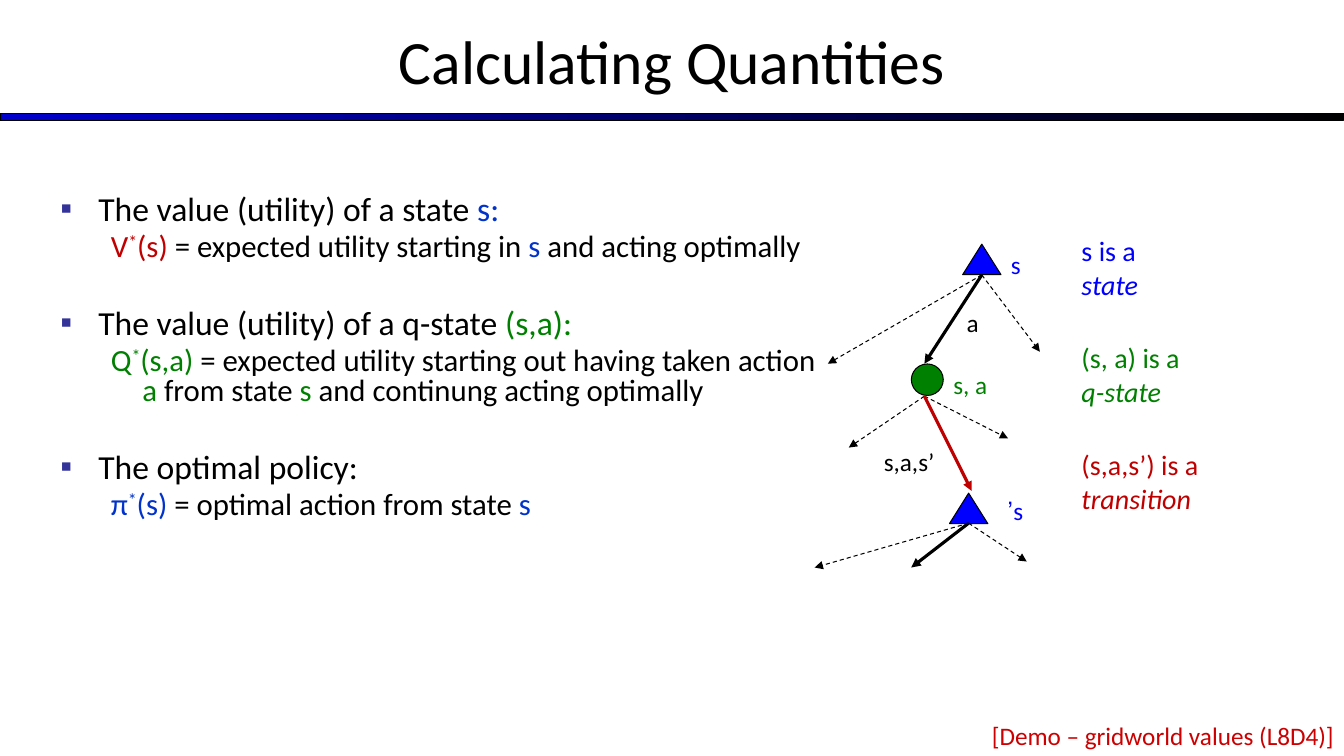
import pptx
import pptx.util
import pptx.dml.color
import pptx.enum.dml
import pptx.enum.shapes
import pptx.enum.text
import pptx.oxml
import pptx.oxml.ns
from lxml import etree

Pt = pptx.util.Pt
ALIGN = pptx.enum.text.PP_ALIGN
SHAPE = pptx.enum.shapes.MSO_SHAPE
FONT = "Calibri"
COLORS = {
    "black": "000000", "bar": "0000CC", "bullet": "333399",
    "state": "0000FF", "body_blue": "0033CC", "q_state": "008000",
    "transition": "C00000", "demo": "CC0000",
}

# Each entry: heading runs, then definition runs, as (text, colour);
# "*" alone is a superscript.
DEFINITIONS = [
    ([("The value (utility) of a state ", "black"), ("s:", "body_blue")],
     [("V", "transition"), ("*", "transition"), ("(s) ", "transition"),
      ("= expected utility starting in ", "black"), ("s", "body_blue"),
      (" and acting optimally", "black")]),
    ([("The value (utility) of a q-state ", "black"), ("(s,a):", "q_state")],
     [("Q", "q_state"), ("*", "q_state"), ("(s,a) ", "q_state"),
      ("= expected utility starting out having taken action ", "black"),
      ("a", "q_state"), (" from state ", "black"), ("s", "q_state"),
      (" and continung acting optimally", "black")]),
    ([("The optimal policy:", "black")],
     [("π", "body_blue"), ("*", "body_blue"), ("(s) ", "body_blue"),
      ("= optimal action from state ", "black"), ("s", "body_blue")]),
]


def rgb(color):
    return pptx.dml.color.RGBColor.from_string(COLORS[color])


def place(shape, left, top, width, height):
    shape.left, shape.top = Pt(left), Pt(top)
    shape.width, shape.height = Pt(width), Pt(height)


def add_run(paragraph, text, size, color, italic=False):
    run = paragraph.add_run()
    run.text = text
    run.font.name = FONT
    run.font.size = Pt(size)
    run.font.color.rgb = rgb(color)
    if italic:
        run.font.italic = True
    return run


def set_bullet(paragraph, indent, hanging, char=None):
    props = paragraph._p.get_or_add_pPr()
    props.set("marL", str(Pt(indent)))
    props.set("indent", str(Pt(-hanging)))
    qn = pptx.oxml.ns.qn
    if char is None:
        etree.SubElement(props, qn("a:buNone"))
        return
    bullet_color = etree.SubElement(props, qn("a:buClr"))
    etree.SubElement(bullet_color, qn("a:srgbClr"), val=COLORS["bullet"])
    etree.SubElement(props, qn("a:buFont"), typeface="Arial")
    etree.SubElement(props, qn("a:buChar"), char=char)


def fill_title(title):
    place(title, 0, -2, 960, 90)
    paragraph = title.text_frame.paragraphs[0]
    paragraph.alignment = ALIGN.CENTER
    add_run(paragraph, "Calculating Quantities", 44, "black")


def add_body_line(paragraph, runs, size, space_before):
    paragraph.line_spacing = 0.8
    paragraph.space_before = Pt(space_before)
    for text, color in runs:
        run = add_run(paragraph, text, size, color)
        if text == "*":
            run._r.get_or_add_rPr().set("baseline", "30000")


def fill_definitions(body):
    place(body, 36, 136, 564.5, 356)
    frame = body.text_frame
    frame.auto_size = pptx.enum.text.MSO_AUTO_SIZE.NONE
    for number, (heading, definition) in enumerate(DEFINITIONS):
        paragraph = frame.add_paragraph() if number else frame.paragraphs[0]
        set_bullet(paragraph, 27, 27, "▪")
        add_body_line(paragraph, heading, 24, 33 if number else 0)
        paragraph = frame.add_paragraph()
        paragraph.level = 1
        set_bullet(paragraph, 58.5, 22.5)
        add_body_line(paragraph, definition, 22, 4.4)


def add_outlined(slide, kind, left, top, width, height):
    shape = slide.shapes.add_shape(kind, Pt(left), Pt(top), Pt(width), Pt(height))
    shape.shadow.inherit = False
    shape.line.color.rgb = rgb("black")
    shape.line.width = Pt(0.75)
    return shape


def add_title_bar(slide):
    bar = add_outlined(slide, SHAPE.RECTANGLE, 0, 81, 960, 5)
    bar.fill.gradient()
    bar.fill.gradient_angle = 0
    for stop, position, color in zip(bar.fill.gradient_stops, (0, 1), ("bar", "black")):
        stop.position = position
        stop.color.rgb = rgb(color)


def add_node(slide, kind, left, top, width, height, color):
    node = add_outlined(slide, kind, left, top, width, height)
    node.fill.solid()
    node.fill.fore_color.rgb = rgb(color)


def add_arrow(slide, start, offset, color=None):
    """Solid heavy arrow in the given colour, or thin dashed black without one."""
    x, y = start
    dx, dy = offset
    arrow = slide.shapes.add_connector(
        pptx.enum.shapes.MSO_CONNECTOR.STRAIGHT, Pt(x), Pt(y), Pt(x + dx), Pt(y + dy))
    arrow.line.color.rgb = rgb(color or "black")
    arrow.line.width = Pt(2.25 if color else 0.75)
    if not color:
        arrow.line.dash_style = pptx.enum.dml.MSO_LINE.DASH
    qn = pptx.oxml.ns.qn
    etree.SubElement(arrow.line._get_or_add_ln(), qn("a:tailEnd"), type="triangle")
    etree.SubElement(arrow._element.spPr, qn("a:effectLst"))


def add_state_fan(slide, start, depth):
    """Three actions leaving a state; the middle one is chosen."""
    add_arrow(slide, start, (-110, depth))
    add_arrow(slide, start, (-41, depth), "black")
    add_arrow(slide, start, (41.5, 0.865 * depth))


def add_label(slide, left, top, width, text, color, size=18, align=ALIGN.LEFT, term=None):
    """Text box whose optional term stands in italics on a second line."""
    height = 55.5 if term else 29
    box = slide.shapes.add_textbox(Pt(left), Pt(top), Pt(width), Pt(height))
    box.text_frame.word_wrap = True
    paragraph = box.text_frame.paragraphs[0]
    paragraph.alignment = align
    add_run(paragraph, text, size, color)
    if term:
        paragraph.add_line_break()
        add_run(paragraph, term, size, color, italic=True)
    return paragraph


def add_search_tree(slide):
    for left, top in ((687.6, 174.4), (678.2, 352.2)):
        add_node(slide, SHAPE.ISOSCELES_TRIANGLE, left, top, 27.4, 21.8, "state")
    add_state_fan(slide, (701.3, 196.4), 63.4)
    add_node(slide, SHAPE.OVAL, 651, 260, 22.8, 22.5, "q_state")
    q_exit = (660.3, 283)
    add_arrow(slide, q_exit, (-54, 36.7))
    add_arrow(slide, q_exit, (59.8, 30.2))
    add_arrow(slide, q_exit, (33.8, 67.7), "transition")
    add_state_fan(slide, (691.9, 373.7), 31.7)

    add_label(slide, 683.3, 216, 23, "a", "black")
    add_label(slide, 715, 174.2, 23, "s", "state")
    next_state = add_label(slide, 707.8, 350.6, 30.2, "s’", "state", align=ALIGN.RIGHT)
    next_state._p.get_or_add_pPr().set("rtl", "1")
    add_label(slide, 673.9, 260, 46, "s, a", "q_state")
    add_label(slide, 624.2, 315.4, 65, "s,a,s’", "black")


def add_legend(slide):
    for top, text, term, color in (
            (163.4, "s is a", "state", "state"),
            (239.8, "(s, a) is a", "q-state", "q_state"),
            (316.1, "(s,a,s’) is a", "transition", "transition")):
        add_label(slide, 765.4, top, 170, text, color, size=20, term=term)


def main():
    deck = pptx.Presentation()
    deck.slide_width, deck.slide_height = Pt(960), Pt(540)
    slide = deck.slides.add_slide(deck.slide_layouts[1])
    add_title_bar(slide)
    fill_title(slide.shapes.title)
    fill_definitions(slide.placeholders[1])
    add_search_tree(slide)
    add_legend(slide)
    add_label(slide, 462, 511, 498, "[Demo – gridworld values (L8D4)]", "demo",
              align=ALIGN.RIGHT)
    deck.save("out.pptx")


if __name__ == "__main__":
    main()
